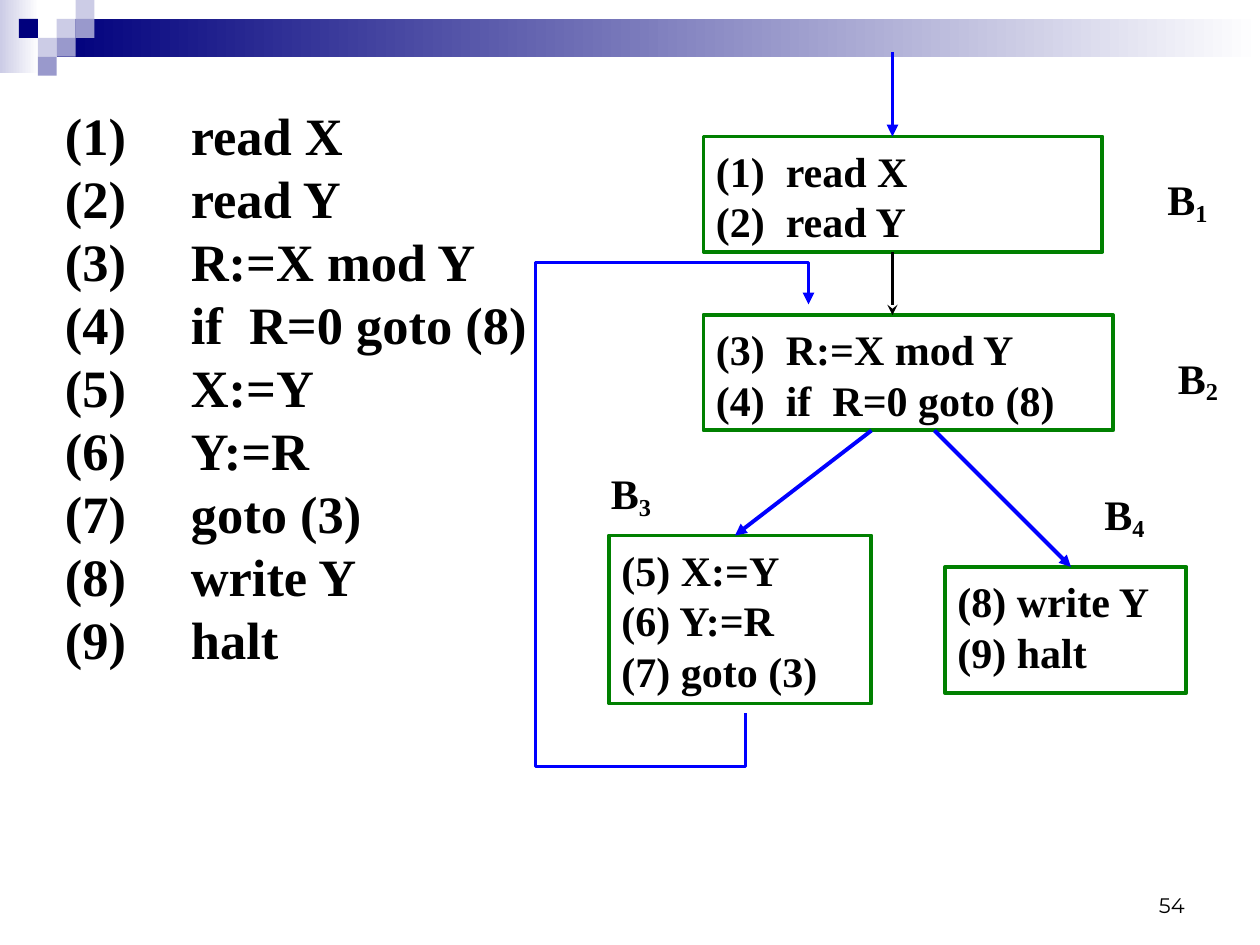
from lxml import etree
from pptx import Presentation
from pptx import util as u
from pptx.dml.color import RGBColor
from pptx.enum import shapes, text
from pptx.oxml import ns

COLORS = {"navy": "00007D", "violet": "9999CC", "lilac": "CCCCE6", "white": "FFFFFF",
          "green": "008000", "blue": "0000FF", "black": "000000"}
SERIF = "Times New Roman"
PAGE_NUMBER = "54"
SQUARE = 10.8

BANDS = [((0, 0, 22.3, 41.8), "lilac"), ((32.4, 10.8, 687.6, 21.6), "navy")]
SQUARES = [(3, 1, "lilac"), (4, 0, "lilac"), (4, 1, "violet"), (2, 2, "lilac"),
           (1, 1, "navy"), (3, 2, "violet"), (2, 3, "violet")]
PROGRAM = ["(1)\tread X", "(2)\tread Y", "(3)\tR:=X mod Y", "(4)\tif  R=0 goto (8)",
           "(5)\tX:=Y", "(6)\tY:=R", "(7)\tgoto (3)", "(8)\twrite Y", "(9)\thalt"]
BLOCKS = [
    ((540, 324, 138, 72), ["(8) write Y", "(9) halt"]),
    ((348, 306, 150, 96), ["(5) X:=Y", "(6) Y:=R", "(7) goto (3)"]),
    ((402, 180, 234, 66), ["(3)  R:=X mod Y", "(4)  if  R=0 goto (8)"]),
    ((402, 78, 228, 66), ["(1)  read X", "(2)  read Y"]),
]
LABELS = [("1", 660, 96), ("2", 666, 198), ("3", 342, 264), ("4", 624, 276)]
ARROWS = [
    ((510, 30), (510, 78), "blue", 2.25, "triangle"),
    ((498, 246), (420, 306), "blue", 2.25, "triangle"),
    ((534, 246), (612, 324), "blue", 2.25, "triangle"),
    ((510, 144), (510, 180), "black", 1.25, "stealth"),
]
LOOP = [(426, 407.5), (426, 438), (306, 438), (306, 150), (462, 150), (462, 174)]


def color(name):
    return RGBColor.from_string(COLORS[name])


def points(values):
    return [u.Pt(value) for value in values]


def add_rectangle(slide, box):
    shape = slide.shapes.add_shape(shapes.MSO_SHAPE.RECTANGLE, *points(box))
    shape.shadow.inherit = False
    shape.line.fill.background()
    return shape


def style_line(shape, name, width, head=None):
    shape.line.color.rgb = color(name)
    shape.line.width = u.Pt(width)
    if head:
        etree.SubElement(shape.line._get_or_add_ln(), ns.qn("a:tailEnd"), type=head)


def style_font(font, size, name=SERIF, bold=True):
    font.size, font.name, font.bold = u.Pt(size), name, bold
    font.color.rgb = color("black")


def prepare_frame(shape):
    frame = shape.text_frame
    frame.word_wrap = True
    frame.vertical_anchor = text.MSO_ANCHOR.TOP
    frame.margin_top = u.Pt(5)
    return frame


def write_lines(shape, lines, size, tab=None):
    frame = prepare_frame(shape)
    frame.text = "\n".join(lines)
    for paragraph in frame.paragraphs:
        paragraph.alignment = text.PP_ALIGN.LEFT
        if tab:
            tabs = etree.SubElement(paragraph._p.get_or_add_pPr(), ns.qn("a:tabLst"))
            etree.SubElement(tabs, ns.qn("a:tab"), pos=str(u.Pt(tab)), algn="l")
        paragraph.line_spacing = u.Pt(1.2 * size)
        style_font(paragraph.font, size)


def add_header(slide):
    for box, start in BANDS:
        fill = add_rectangle(slide, box).fill
        fill.gradient()
        fill.gradient_angle = 0
        for stop, name in zip(fill.gradient_stops, (start, "white")):
            stop.color.rgb = color(name)
    for column, row, name in SQUARES:
        square = add_rectangle(slide, (column * SQUARE, row * SQUARE, SQUARE, SQUARE))
        square.fill.solid()
        square.fill.fore_color.rgb = color(name)


def add_page_number(slide):
    frame = slide.shapes.add_textbox(*points((516, 492, 168, 36))).text_frame
    frame.word_wrap = True
    frame.vertical_anchor = text.MSO_ANCHOR.BOTTOM
    paragraph = frame.paragraphs[0]
    paragraph.text = PAGE_NUMBER
    paragraph.alignment = text.PP_ALIGN.RIGHT
    style_font(paragraph.font, 12, "Montserrat", False)


def add_label(slide, number, left, top):
    box = slide.shapes.add_textbox(*points((left, top, 49, 38)))
    paragraph = prepare_frame(box).paragraphs[0]
    paragraph.line_spacing = u.Pt(28.8)
    style_font(paragraph.font, 24)
    paragraph.add_run().text = "B"
    subscript = paragraph.add_run()
    subscript.text = number
    subscript.font._element.set("baseline", "-16000")


def add_flow_graph(slide):
    for box, lines in BLOCKS:
        block = add_rectangle(slide, box)
        block.fill.background()
        style_line(block, "green", 2.25)
        write_lines(block, lines, 24)
    for label in LABELS:
        add_label(slide, *label)
    for start, end, name, width, head in ARROWS:
        arrow = slide.shapes.add_connector(shapes.MSO_CONNECTOR.STRAIGHT, *points(start + end))
        style_line(arrow, name, width, head)
        etree.SubElement(arrow._element.spPr, ns.qn("a:effectLst"))
    builder = slide.shapes.build_freeform(*points(LOOP[0]))
    builder.add_line_segments([points(point) for point in LOOP[1:]], close=False)
    loop = builder.convert_to_shape()
    loop.shadow.inherit = False
    loop.fill.background()
    style_line(loop, "blue", 2.25, "triangle")


def main():
    presentation = Presentation()
    presentation.slide_width, presentation.slide_height = u.Pt(720), u.Pt(540)
    slide = presentation.slides.add_slide(presentation.slide_layouts[6])
    add_header(slide)
    add_page_number(slide)
    program = slide.shapes.add_textbox(*points((30, 54, 288, 414)))
    write_lines(program, PROGRAM, 30, tab=72)
    add_flow_graph(slide)
    presentation.save("out.pptx")


if __name__ == "__main__":
    main()
